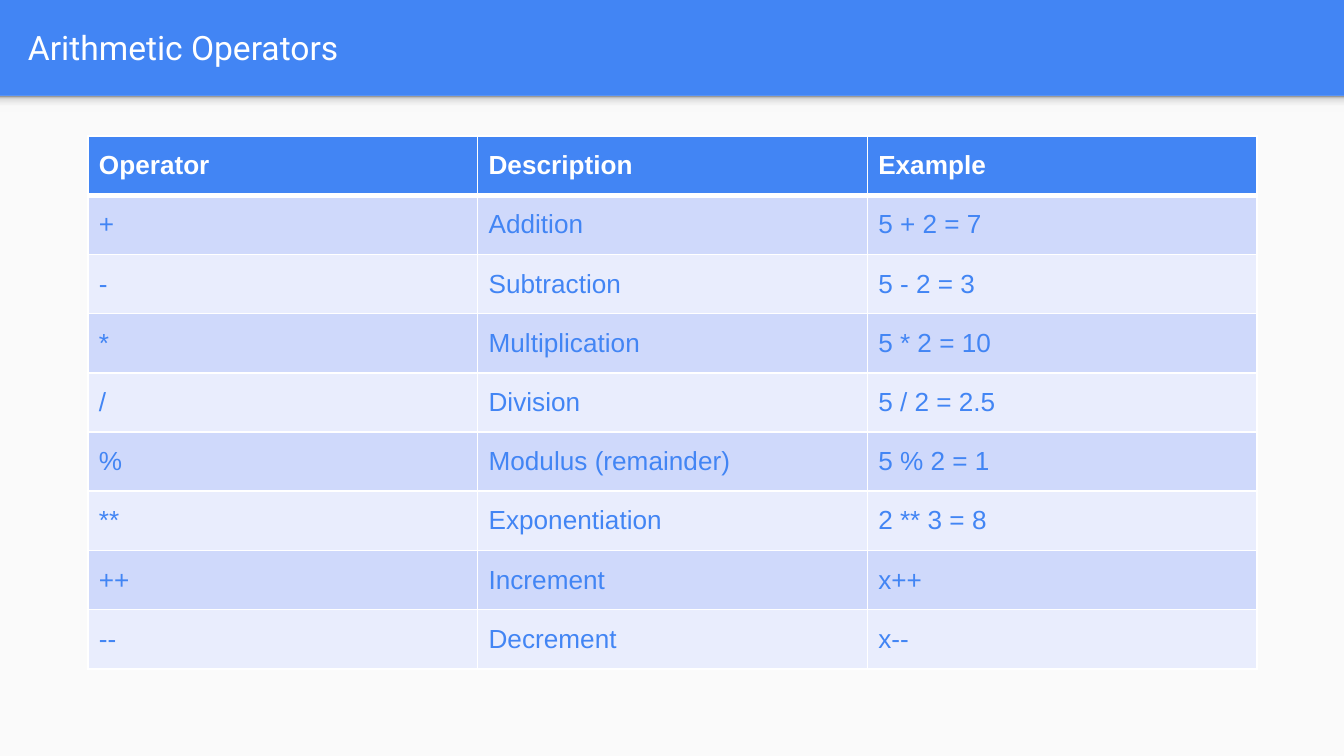
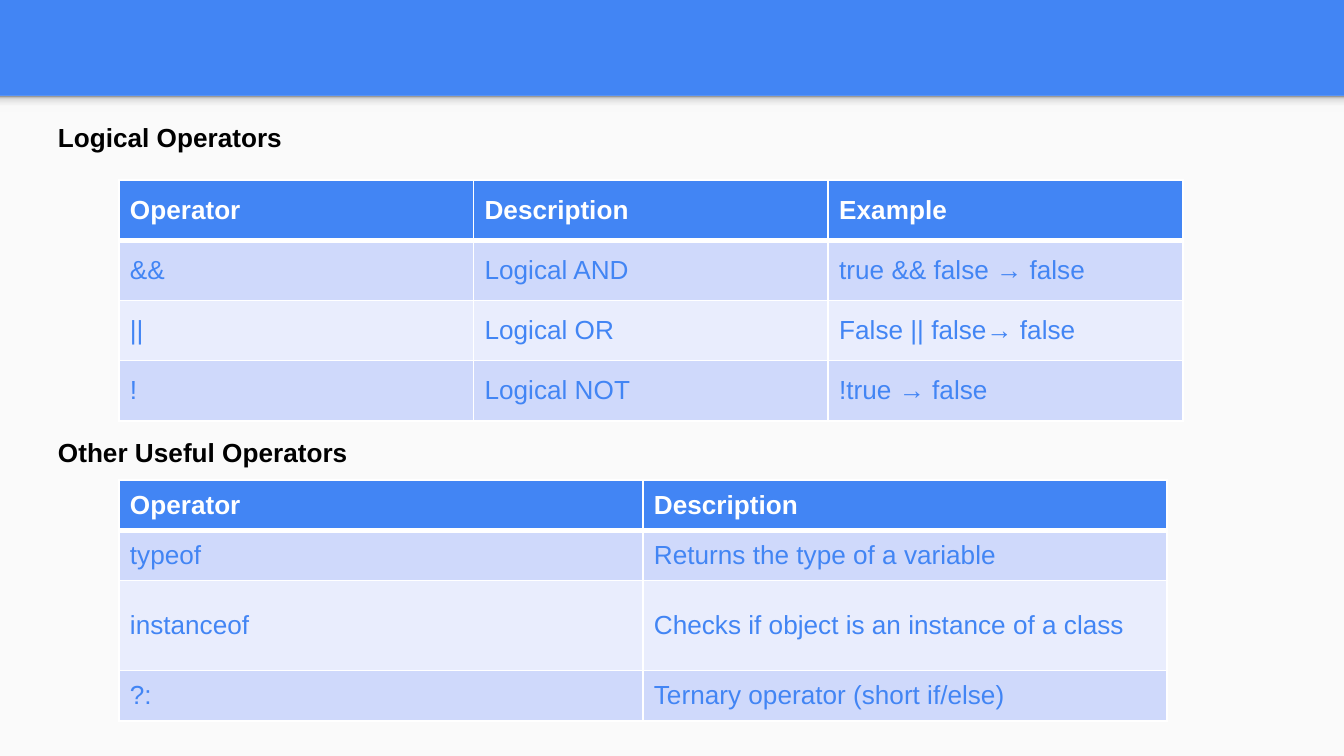
from lxml.etree import SubElement
from pptx import Presentation
from pptx.dml.color import RGBColor
from pptx.enum.shapes import MSO_SHAPE
from pptx.enum.text import MSO_ANCHOR
from pptx.oxml.ns import qn
from pptx.util import Pt

EMU_PER_PX = 914400 / 134.4
SLIDE_W, SLIDE_H = 1344, 756
BAND_H = 96
COLORS = {
    "blue": "4285F4",
    "panel": "FAFAFA",
    "white": "FFFFFF",
    "black": "000000",
    "row_odd": "CFD9FB",
    "row_even": "E9EDFD",
}
SHADOW_STOPS = [(0, "F9F9F9"), (36, "F9F9F9"), (80, "DEDEDE"), (100, "999999")]

ARITHMETIC = [
    ("Operator", "Description", "Example"),
    ("+", "Addition", "5 + 2 = 7"),
    ("-", "Subtraction", "5 - 2 = 3"),
    ("*", "Multiplication", "5 * 2 = 10"),
    ("/", "Division", "5 / 2 = 2.5"),
    ("%", "Modulus (remainder)", "5 % 2 = 1"),
    ("**", "Exponentiation", "2 ** 3 = 8"),
    ("++", "Increment", "x++"),
    ("--", "Decrement", "x--"),
]
LOGICAL = [
    ("Operator", "Description", "Example"),
    ("&&", "Logical AND", "true && false → false"),
    ("||", "Logical OR", "False || false→ false"),
    ("!", "Logical NOT", "!true → false"),
]
OTHER = [
    ("Operator", "Description"),
    ("typeof", "Returns the type of a variable"),
    ("instanceof", "Checks if object is an instance of a class"),
    ("?:", "Ternary operator (short if/else)"),
]


def px(length):
    return round(length * EMU_PER_PX)


def rgb(name):
    return RGBColor.from_string(COLORS[name])


def add_run(paragraph, text, color, size=14, font="Arial", bold=False):
    run = paragraph.add_run()
    run.text = text
    run.font.name = font
    run.font.size = Pt(size)
    run.font.bold = bold
    run.font.color.rgb = rgb(color)


def add_rect(slide, box):
    rect = slide.shapes.add_shape(MSO_SHAPE.RECTANGLE, *map(px, box))
    rect.shadow.inherit = False
    rect.line.fill.background()
    return rect


def add_text_frame(slide, box, inset_x, inset_y):
    frame = slide.shapes.add_textbox(*map(px, box)).text_frame
    frame.word_wrap = True
    frame.margin_left = frame.margin_right = px(inset_x)
    frame.margin_top = frame.margin_bottom = px(inset_y)
    return frame


def add_band_shadow(slide, box):
    shadow = add_rect(slide, box)
    shadow.fill.gradient()
    shadow.fill.gradient_angle = 90
    stops = shadow._element.spPr.find(qn("a:gradFill")).find(qn("a:gsLst"))
    for stop in list(stops):
        stops.remove(stop)
    for position, color in SHADOW_STOPS:
        stop = SubElement(stops, qn("a:gs"), pos=str(position * 1000))
        SubElement(stop, qn("a:srgbClr"), val=color)


def add_base_slide(prs):
    """Add a slide with the blue title band above a light panel."""
    slide = prs.slides.add_slide(prs.slide_layouts[6])
    slide.background.fill.solid()
    slide.background.fill.fore_color.rgb = rgb("blue")
    panel = add_rect(slide, (0, BAND_H, SLIDE_W, SLIDE_H - BAND_H))
    panel.fill.solid()
    panel.fill.fore_color.rgb = rgb("panel")
    add_band_shadow(slide, (0, BAND_H, SLIDE_W, 16))
    return slide


def add_title(slide, text):
    frame = add_text_frame(slide, (15, 3, 1297, 89), 13, 13)
    frame.vertical_anchor = MSO_ANCHOR.MIDDLE
    add_run(frame.paragraphs[0], text, "white", 18, "Roboto")


def set_borders(cell, top, bottom):
    """Draw white borders; top and bottom are widths in points."""
    props = cell._tc.get_or_add_tcPr()
    for tag, width in (("lnL", 1), ("lnR", 1), ("lnT", top), ("lnB", bottom)):
        line = SubElement(props, qn(f"a:{tag}"), w=str(Pt(width)))
        fill = SubElement(line, qn("a:solidFill"))
        SubElement(fill, qn("a:srgbClr"), val=COLORS["white"])


def add_operator_table(slide, box, rows, weights=None):
    """Fill the box with equal columns and rows sized by weight."""
    weights = weights or [1] * len(rows)
    columns = len(rows[0])
    left, top, width, height = map(px, box)
    table = slide.shapes.add_table(len(rows), columns, left, top, width, height).table
    for column in table.columns:
        column.width = width // columns
    for r, (texts, weight) in enumerate(zip(rows, weights)):
        table.rows[r].height = height * weight // sum(weights)
        header = r == 0
        fill = "blue" if header else "row_odd" if r % 2 else "row_even"
        for c, text in enumerate(texts):
            cell = table.cell(r, c)
            set_borders(cell, 3 if r == 1 else 1, 3 if header else 1)
            cell.fill.solid()
            cell.fill.fore_color.rgb = rgb(fill)
            cell.vertical_anchor = MSO_ANCHOR.MIDDLE
            cell.margin_left = cell.margin_right = px(11)
            cell.margin_top = cell.margin_bottom = px(5)
            add_run(cell.text_frame.paragraphs[0], text,
                    "white" if header else "blue", bold=header)


def add_section_headings(slide, box, first, second):
    frame = add_text_frame(slide, box, 11, 9)
    add_run(frame.paragraphs[0], first, "black", bold=True)
    lower = frame.add_paragraph()
    lower.space_before = Pt(152)
    add_run(lower, second, "black", bold=True)


def build_arithmetic_slide(prs):
    slide = add_base_slide(prs)
    add_title(slide, "Arithmetic Operators")
    add_operator_table(slide, (88, 136, 1169, 533), ARITHMETIC)


def build_logical_slide(prs):
    slide = add_base_slide(prs)
    add_section_headings(slide, (47, 112, 1251, 620),
                         "Logical Operators", "Other Useful Operators")
    add_operator_table(slide, (119, 180, 1064, 241), LOGICAL)
    add_operator_table(slide, (119, 480, 1048, 241), OTHER, [50, 50, 89, 50])


def main():
    prs = Presentation()
    prs.slide_width, prs.slide_height = px(SLIDE_W), px(SLIDE_H)
    build_arithmetic_slide(prs)
    build_logical_slide(prs)
    prs.save("out.pptx")


if __name__ == "__main__":
    main()
